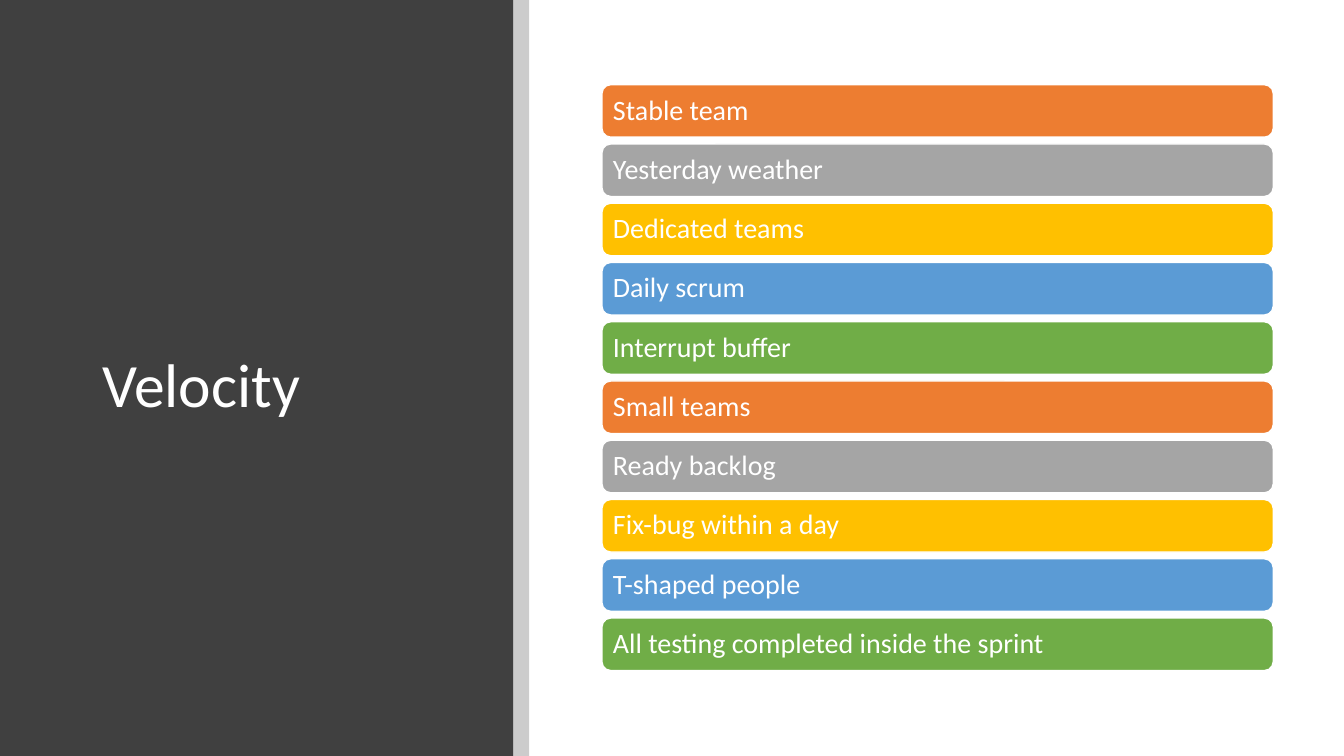
from dataclasses import dataclass
from itertools import cycle

from lxml.etree import SubElement
from pptx import Presentation
from pptx.dml.color import RGBColor as RGB
from pptx.enum.shapes import MSO_SHAPE as Shape
from pptx.enum.text import MSO_ANCHOR as Anchor, PP_ALIGN as Align
from pptx.oxml.ns import qn
from pptx.util import Pt


@dataclass(frozen=True)
class Theme:
    font: str = "Calibri"
    title_size: int = 44
    bar_size: int = 20
    white: str = "FFFFFF"
    panel: str = "404040"
    stripe: str = "000000"
    bars: tuple = ("ED7D31", "A5A5A5", "FFC000", "5B9BD5", "70AD47")


theme = Theme()


def add_block(kind, left, top, width, height, colour):
    block = slide.shapes.add_shape(kind, Pt(left), Pt(top), Pt(width), Pt(height))
    block.shadow.inherit = False
    block.fill.solid()
    block.fill.fore_color.rgb = RGB.from_string(colour)
    block.line.fill.background()
    return block


def write(frame, text, size):
    frame.word_wrap = True
    frame.vertical_anchor = Anchor.MIDDLE
    paragraph = frame.paragraphs[0]
    paragraph.text = text
    paragraph.alignment = Align.LEFT
    paragraph.line_spacing = 0.9
    paragraph.font.name = theme.font
    paragraph.font.size = Pt(size)
    paragraph.font.color.rgb = RGB.from_string(theme.white)


deck = Presentation()
deck.slide_width, deck.slide_height = Pt(960), Pt(540)
slide = deck.slides.add_slide(deck.slide_layouts[6])

# Dark panel with the title
add_block(Shape.RECTANGLE, 0, 0, 366.5, 540, theme.panel)
title = slide.shapes.add_textbox(Pt(66), Pt(64), Pt(263), Pt(425.5))
write(title.text_frame, "Velocity", theme.title_size)

# Translucent stripe along the panel's edge
stripe = add_block(Shape.RECTANGLE, 366.5, 0, 11.5, 540, theme.stripe)
stripe_colour = stripe.fill._xPr.find(qn("a:solidFill"))[0]
SubElement(stripe_colour, qn("a:alpha"), val="20000")

# Velocity practices, one bar each
practices = [
    "Stable team",
    "Yesterday weather",
    "Dedicated teams",
    "Daily scrum",
    "Interrupt buffer",
    "Small teams",
    "Ready backlog",
    "Fix-bug within a day",
    "T-shaped people",
    "All testing completed inside the sprint",
]
first_top, pitch = 60.5, 42.33
for row, (practice, colour) in enumerate(zip(practices, cycle(theme.bars))):
    bar = add_block(Shape.ROUNDED_RECTANGLE, 430, first_top + row * pitch, 479.5, 37.5, colour)
    bar.line.color.rgb = RGB.from_string(theme.white)
    bar.line.width = Pt(1)
    frame = bar.text_frame
    frame.margin_left = frame.margin_right = Pt(6)
    frame.margin_top = frame.margin_bottom = Pt(6)
    write(frame, practice, theme.bar_size)

deck.save("out.pptx")
